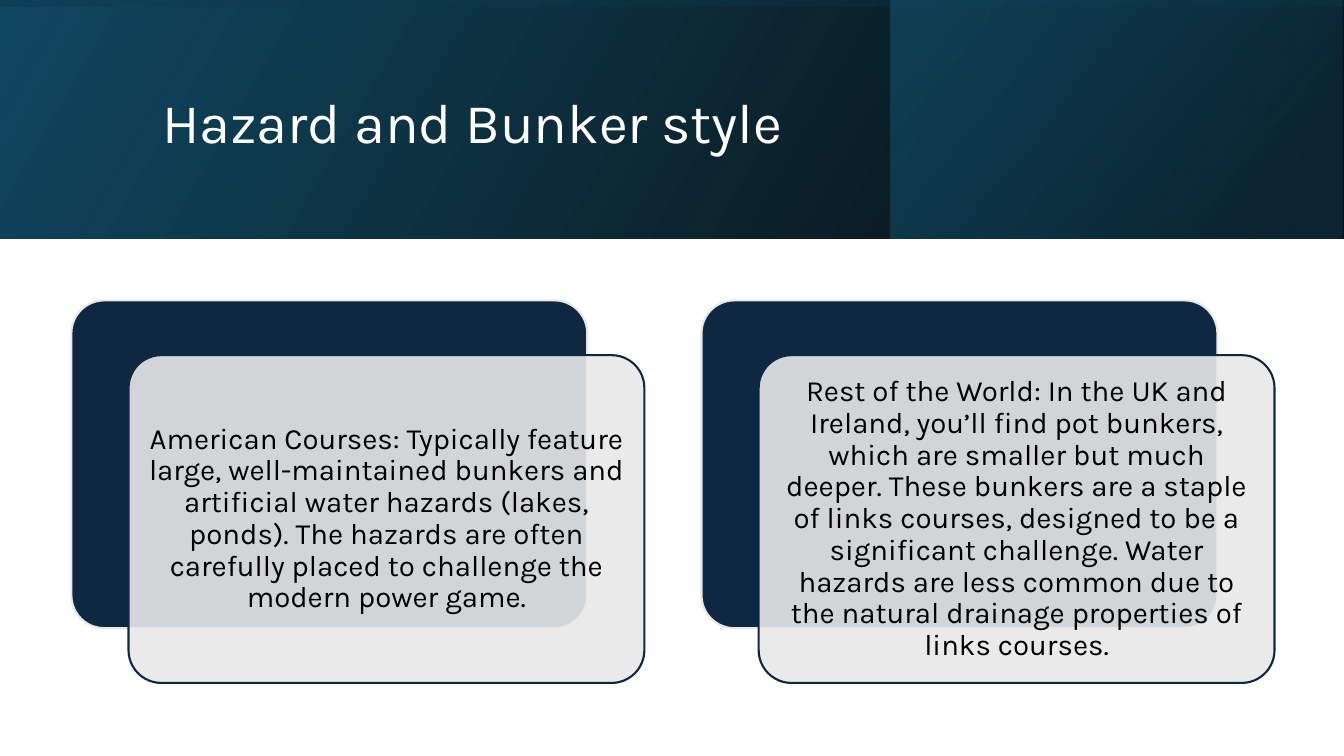
from lxml import etree
from pptx import Presentation
from pptx import util as u
from pptx.dml.color import RGBColor
from pptx.enum import shapes, text
from pptx.oxml import ns

BLACK = RGBColor(0x00, 0x00, 0x00)
WHITE = RGBColor(0xFF, 0xFF, 0xFF)
NAVY = RGBColor(0x0E, 0x28, 0x41)
PALE = RGBColor(0xE8, 0xE8, 0xE8)
TEAL = RGBColor(0x10, 0x48, 0x62)
DEEP_TEAL = RGBColor(0x0B, 0x30, 0x41)
BRIGHT_TEAL = RGBColor(0x15, 0x60, 0x82)

FONT = "Karla"
SLIDE_WIDTH, SLIDE_HEIGHT = 33.87, 19.05
BAND_HEIGHT = 6.02
CARD_WIDTH, CARD_HEIGHT = 13.0, 8.26
CARD_LEFT, CARD_TOP, CARD_STEP = 1.8, 7.57, 15.88
FRONT_SHIFT_X, FRONT_SHIFT_Y = 1.44, 1.38
TEXT_MARGIN = 0.24

CARDS = [
    "American Courses: Typically feature large, well-maintained bunkers and "
    "artificial water hazards (lakes, ponds). The hazards are often carefully "
    "placed to challenge the modern power game.",
    "Rest of the World: In the UK and Ireland, you’ll find pot bunkers, which "
    "are smaller but much deeper. These bunkers are a staple of links courses, "
    "designed to be a significant challenge. Water hazards are less common due "
    "to the natural drainage properties of links courses.",
]


def add_alpha(color_element, percent):
    alpha = etree.SubElement(color_element, ns.qn("a:alpha"))
    alpha.set("val", str(percent * 1000))


def add_shape(page, kind, left, top, width, height):
    shape = page.shapes.add_shape(
        kind, u.Cm(left), u.Cm(top), u.Cm(width), u.Cm(height))
    shape.shadow.inherit = False
    return shape


def add_gradient_panel(page, left, top, width, height, stops, angle, rotation=0):
    """Add a mirrored rectangle; stops are (position %, colour, opacity %)."""
    panel = add_shape(page, shapes.MSO_SHAPE.RECTANGLE, left, top, width, height)
    panel.rotation = rotation
    panel.line.fill.background()
    properties = panel._element.spPr
    properties.find(ns.qn("a:xfrm")).set("flipH", "1")

    gradient = etree.Element(ns.qn("a:gradFill"), rotWithShape="1")
    stop_list = etree.SubElement(gradient, ns.qn("a:gsLst"))
    for position, color, opacity in stops:
        stop = etree.SubElement(stop_list, ns.qn("a:gs"), pos=str(position * 1000))
        value = etree.SubElement(stop, ns.qn("a:srgbClr"), val=str(color))
        if opacity < 100:
            add_alpha(value, opacity)
    etree.SubElement(gradient, ns.qn("a:lin"), ang=str(angle * 60000), scaled="0")
    properties.find(ns.qn("a:prstGeom")).addnext(gradient)


def add_text(page, left, top, width, height, words, size, color, align, margin=None):
    box = page.shapes.add_textbox(
        u.Cm(left), u.Cm(top), u.Cm(width), u.Cm(height))
    frame = box.text_frame
    frame.word_wrap = True
    frame.vertical_anchor = text.MSO_ANCHOR.MIDDLE
    if margin is not None:
        frame.margin_left = frame.margin_right = u.Cm(margin)
        frame.margin_top = frame.margin_bottom = u.Cm(margin)
    frame.text = words
    para = frame.paragraphs[0]
    para.alignment = align
    para.line_spacing = 0.9
    font = para.runs[0].font
    font.name, font.size = FONT, u.Pt(size)
    font.color.rgb = color


def add_plate(page, left, top, fill, line, opacity=100):
    plate = add_shape(page, shapes.MSO_SHAPE.ROUNDED_RECTANGLE,
                      left, top, CARD_WIDTH, CARD_HEIGHT)
    plate.adjustments[0] = 0.1
    plate.fill.solid()
    plate.fill.fore_color.rgb = fill
    plate.line.color.rgb = line
    plate.line.width = u.Pt(1.5)
    if opacity < 100:
        color = plate._element.spPr.find(
            ns.qn("a:solidFill") + "/" + ns.qn("a:srgbClr"))
        add_alpha(color, opacity)


def add_card(page, left, words):
    front_left, front_top = left + FRONT_SHIFT_X, CARD_TOP + FRONT_SHIFT_Y
    add_plate(page, left, CARD_TOP, NAVY, PALE)
    add_plate(page, front_left, front_top, PALE, NAVY, opacity=90)
    add_text(page, front_left + TEXT_MARGIN, front_top + TEXT_MARGIN,
             CARD_WIDTH - 2 * TEXT_MARGIN, CARD_HEIGHT - 2 * TEXT_MARGIN,
             words, 21, BLACK, text.PP_ALIGN.CENTER, margin=0.23)


def add_header(page):
    add_gradient_panel(page, 0, 0, SLIDE_WIDTH, BAND_HEIGHT,
                       [(0, BLACK, 96), (100, TEAL, 100)], 330)
    add_gradient_panel(page, 22.45, 0, 11.39, BAND_HEIGHT,
                       [(19, DEEP_TEAL, 68), (100, BRIGHT_TEAL, 48)], 320)
    # A quarter turn lays this tall panel over the whole band.
    turn_offset = (SLIDE_WIDTH - BAND_HEIGHT) / 2
    add_gradient_panel(page, turn_offset, -turn_offset, BAND_HEIGHT, SLIDE_WIDTH,
                       [(23, TEAL, 16), (99, BLACK, 45)], 350, rotation=270)
    add_text(page, 3.84, 0.97, 27.0, 4.37, "Hazard and Bunker style",
             40, WHITE, text.PP_ALIGN.LEFT)


def main():
    deck = Presentation()
    deck.slide_width, deck.slide_height = u.Cm(SLIDE_WIDTH), u.Cm(SLIDE_HEIGHT)
    page = deck.slides.add_slide(deck.slide_layouts[6])
    add_header(page)
    for index, words in enumerate(CARDS):
        add_card(page, CARD_LEFT + index * CARD_STEP, words)
    deck.save("out.pptx")


if __name__ == "__main__":
    main()
